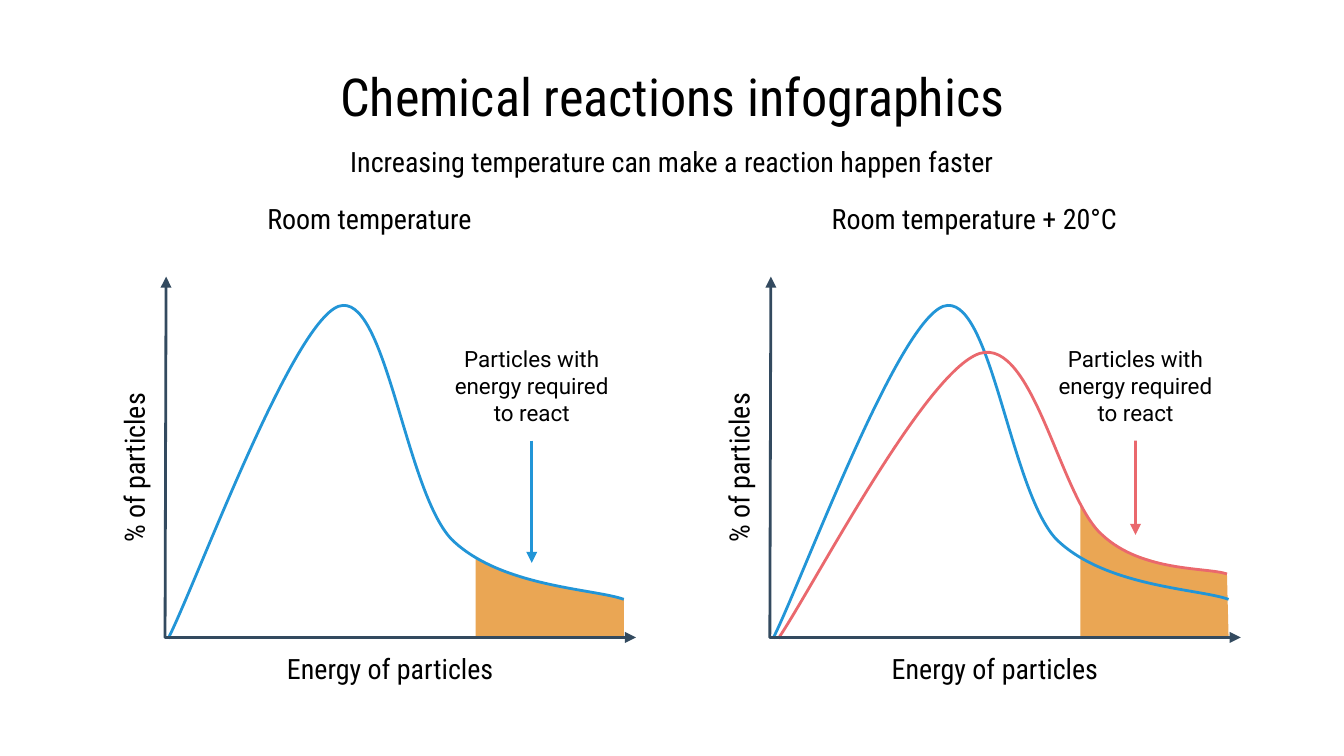
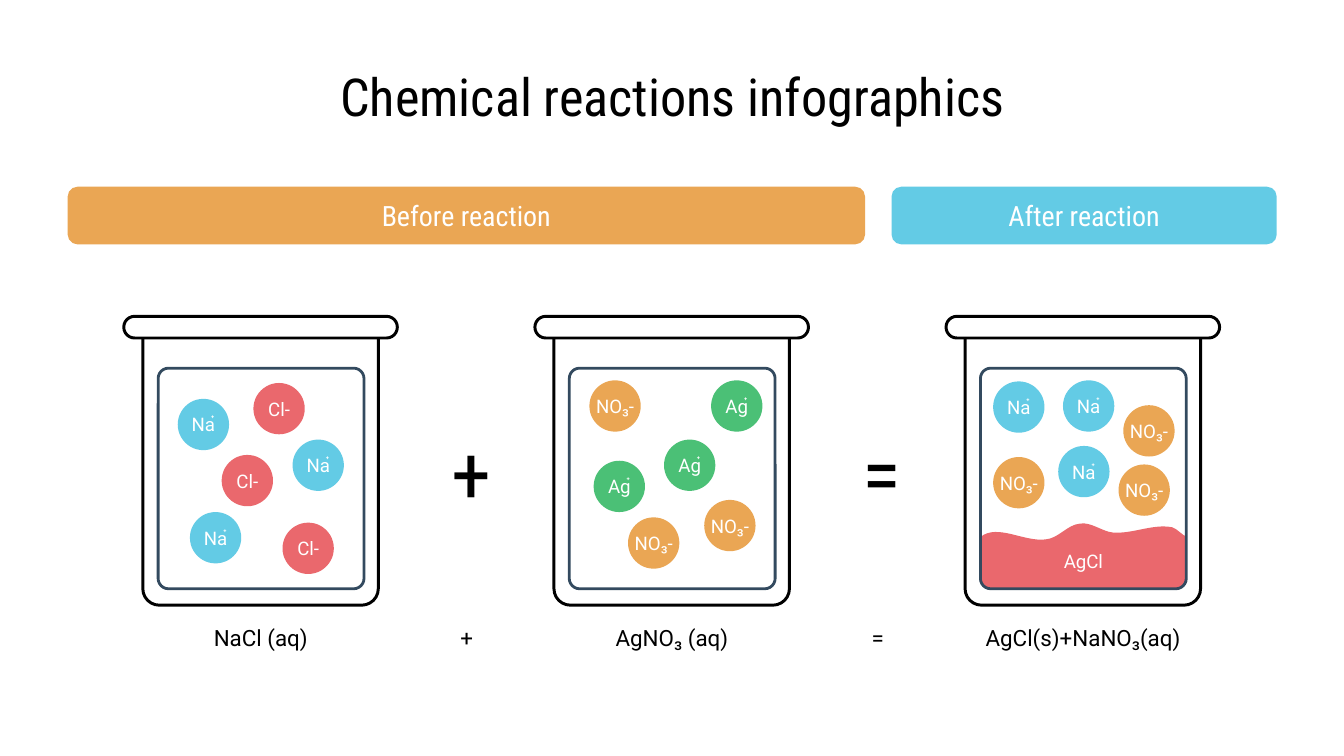
from dataclasses import dataclass

from lxml import etree
from pptx import Presentation
from pptx import util as u
from pptx.dml import color
from pptx.enum import shapes as es, text as et
from pptx.oxml import ns

Cm, Pt = u.Cm, u.Pt
Point = tuple[float, float]

COLORS = {
    "black": "000000", "white": "FFFFFF", "slate": "334A5F", "blue": "2295D7",
    "red": "EA686D", "orange": "EAA654", "cyan": "63CBE5", "green": "4BC076",
}
HEAD, BODY = "Roboto Condensed", "Roboto"
TITLE = "Chemical reactions infographics"


@dataclass(frozen=True)
class Box:
    x: float
    y: float
    w: float
    h: float

    def move(self, dx: float) -> "Box":
        return Box(self.x + dx, self.y, self.w, self.h)

    def cm(self) -> tuple:
        return Cm(self.x), Cm(self.y), Cm(self.w), Cm(self.h)


@dataclass(frozen=True)
class Style:
    size: float
    font: str = HEAD
    color: str = "black"
    wrap: bool = True


@dataclass(frozen=True)
class Graph:
    name: str
    curves: tuple[tuple[str, list[Point]], ...]  # the last one colours the arrow
    area: list[Point]
    note: float
    tip: float


@dataclass(frozen=True)
class Ion:
    name: str
    color: str
    spots: tuple[Point, ...]
    width: float = 0.97


@dataclass(frozen=True)
class Jar:
    name: str
    ions: tuple[Ion, ...]
    sign: str = ""


TOP = Style(28)
LABEL = Style(15)
BAND = Style(15, color="white")
SIGN = Style(43)
NOTE = Style(12, BODY)
ION = Style(10, BODY, "white", wrap=False)


def rgb(name: str) -> color.RGBColor:
    return color.RGBColor.from_string(COLORS[name])


def write(shape, words: str, style: Style) -> None:
    frame = shape.text_frame
    frame.text = words
    frame.auto_size = et.MSO_AUTO_SIZE.NONE
    frame.word_wrap = style.wrap
    frame.vertical_anchor = et.MSO_ANCHOR.MIDDLE
    frame.margin_left = frame.margin_right = Cm(0.25)
    frame.margin_top = frame.margin_bottom = Cm(0.25)
    para = frame.paragraphs[0]
    para.alignment = et.PP_ALIGN.CENTER
    font = para.runs[0].font
    font.size, font.name = Pt(style.size), style.font
    font.color.rgb = rgb(style.color)


def label(slide, box: Box, words: str, style: Style):
    shape = slide.shapes.add_textbox(*box.cm())
    write(shape, words, style)
    return shape


def paint(shape, fill: str = "", line: str = "", width: float = 1.5) -> None:
    shape.shadow.inherit = False
    if fill:
        shape.fill.solid()
        shape.fill.fore_color.rgb = rgb(fill)
    else:
        shape.fill.background()
    if line:
        shape.line.color.rgb = rgb(line)
        shape.line.width = Pt(width)
    else:
        shape.line.fill.background()


def block(slide, kind, box: Box, adj: tuple[float, ...] = (), **look):
    shape = slide.shapes.add_shape(kind, *box.cm())
    for i, value in enumerate(adj):
        shape.adjustments[i] = value
    paint(shape, **look)
    return shape


def draw(slide, points: list[Point], dx: float = 0, close: bool = False, **look):
    """Add a freeform through the points, shifted right by dx."""
    spots = [(Cm(x + dx), Cm(y)) for x, y in points]
    form = slide.shapes.build_freeform(*spots[0], scale=1.0)
    form.add_line_segments(spots[1:], close=close)
    shape = form.convert_to_shape()
    paint(shape, **look)
    return shape


def bend(slide, knots: list[Point], dx: float = 0, rest: tuple[Point, ...] = (),
         **look) -> None:
    """Draw cubic curves (a start, then three knots each), then straight sides."""
    shape = draw(slide, [*knots[::3], *rest], dx, close=bool(rest), **look)
    sides = list(shape.element.iter(ns.qn("a:lnTo")))
    for i, side in zip(range(1, len(knots), 3), sides):
        side.tag = ns.qn("a:cubicBezTo")
        for k, (x, y) in enumerate(knots[i:i + 2]):
            spot = etree.Element(ns.qn("a:pt"), x=str(Cm(x + dx) - shape.left),
                                 y=str(Cm(y) - shape.top))
            side.insert(k, spot)


def arrow(shape, *ends: str) -> None:
    """Put triangles on the named ends, headEnd before tailEnd."""
    line = shape.element.spPr.find(ns.qn("a:ln"))
    for end in ends:
        etree.SubElement(line, ns.qn(f"a:{end}"), type="triangle")


def start(deck):
    slide = deck.slides.add_slide(deck.slide_layouts[5])
    title = slide.shapes.title
    title.left, title.top, title.width, title.height = Box(0.87, 1.14, 23.67, 1.35).cm()
    write(title, TITLE, TOP)
    return slide


# Graphs: coordinates of the left one; the right one is a step further.
STEP, BASE = 11.43, 12.05
COOL = [(3.18, 12.07), (3.71, 11.02), (5.51, 6.12), (6.4, 5.79),
        (7.29, 5.49), (7.65, 9.25), (8.53, 10.19),
        (9.45, 11.1), (11.25, 11.13), (11.79, 11.33)]
WARM = [(3.28, 12.07), (3.91, 11.15), (6.05, 7.01), (7.09, 6.68),
        (8.1, 6.38), (8.61, 9.42), (9.4, 10.11),
        (10.16, 10.82), (11.38, 10.72), (11.76, 10.85)]
LOW = [(8.99, BASE), (8.99, 10.52), (9.4, 10.77), (9.91, 10.92), (10.39, 11.05),
       (11.3, 11.23), (11.68, 11.3), (11.79, 11.3), (11.79, BASE)]
HIGH = [(8.99, BASE), (8.99, 9.5), (9.19, 9.91), (9.5, 10.21), (9.93, 10.46),
        (10.52, 10.64), (11, 10.74), (11.76, 10.85), (11.79, BASE)]
GRAPHS = (
    Graph("Room temperature", (("blue", COOL),), LOW, 8.31, 10.64),
    Graph("Room temperature + 20°C", (("blue", COOL), ("red", WARM)), HIGH,
          8.29, 10.11),
)


def plot(slide, graph: Graph, dx: float) -> None:
    draw(slide, graph.area, dx, close=True, fill="orange")
    for tone, curve in graph.curves:
        bend(slide, curve, dx, line=tone)

    box = Box(graph.note, 6.25, 3.48, 2.08).move(dx)
    note = label(slide, box, "Particles with energy required to react", NOTE)
    mid = Cm(box.x + box.w / 2)
    link = slide.shapes.add_connector(
        es.MSO_CONNECTOR.STRAIGHT, mid, Cm(box.y + box.h), mid, Cm(graph.tip))
    link.begin_connect(note, 2)
    link.line.color.rgb = rgb(graph.curves[-1][0])
    link.line.width = Pt(1.5)
    etree.SubElement(link.element.spPr, ns.qn("a:effectLst"))
    arrow(link, "tailEnd")

    axes = draw(slide, [(3.14, 5.23), (3.12, BASE), (12.02, BASE)], dx, line="slate")
    arrow(axes, "headEnd", "tailEnd")
    side = label(slide, Box(-0.69, 8.26, 6.43, 1.17).move(dx), "% of particles", LABEL)
    side.rotation = 270
    label(slide, Box(3.12, 12.04, 8.51, 1.17).move(dx), "Energy of particles", LABEL)


# Jars: ion spots are measured from the left end of the lid.
GAP = 7.77
JARS = (
    Jar("NaCl (aq)", (
        Ion("Na๋", "cyan", ((1.02, 7.54), (1.25, 9.68), (3.19, 8.31))),
        Ion("Cl-", "red", ((1.85, 8.6), (3, 9.88), (2.45, 7.24))),
    ), "+"),
    Jar("AgNO₃ (aq)", (
        Ion("Ag๋", "green", ((1.11, 8.71), (2.44, 8.31), (3.33, 7.19))),
        Ion("NO₃-", "orange", ((1.03, 7.19), (1.76, 9.78), (3.2, 9.45)), 1.27),
    ), "="),
    Jar("AgCl(s)+NaNO₃(aq)", (
        Ion("Na๋", "cyan", ((0.89, 7.21), (2.21, 7.19), (2.12, 8.43))),
        Ion("NO₃-", "orange", ((0.89, 8.64), (3.26, 8.78), (3.35, 7.66)), 1.27),
    )),
)
WAVE = [(18.54, 10.16), (18.85, 9.91), (19.35, 10.26), (19.76, 10.21),
        (20.02, 10.19), (20.17, 9.93), (20.42, 9.91),
        (20.62, 9.88), (20.83, 10.06), (21.03, 10.08),
        (21.41, 10.11), (21.79, 9.91), (22.15, 9.98),
        (22.25, 10.01), (22.33, 10.13), (22.43, 10.16)]
FLOOR = ((22.43, 10.97), (22.35, 11.07), (22.25, 11.13),
         (18.67, 11.13), (18.57, 11.05), (18.54, 10.95))
BANDS = (
    ("Before reaction", "orange", Box(1.28, 3.53, 15.07, 1.09)),
    ("After reaction", "cyan", Box(16.85, 3.53, 7.28, 1.09)),
)


def glass(slide, dx: float) -> None:
    kind = es.MSO_SHAPE
    block(slide, kind.ROUND_2_SAME_RECTANGLE, Box(2.7, 6.38, 4.45, 5.06).move(dx),
          (0, 0.07), fill="white", line="black", width=1.6)
    block(slide, kind.ROUNDED_RECTANGLE, Box(2.34, 5.98, 5.17, 0.41).move(dx),
          (0.5,), fill="white", line="black", width=1.6)


def fill_jar(slide, jar: Jar, dx: float) -> None:
    """Add the tank, the ions and the captions of one jar."""
    kind = es.MSO_SHAPE
    block(slide, kind.ROUNDED_RECTANGLE, Box(2.99, 6.96, 3.89, 4.17).move(dx),
          (0.05,), line="slate")
    for ion in jar.ions:
        for x, y in ion.spots:
            ball = Box(2.34 + dx + x, y, 0.97, 0.97)
            block(slide, kind.OVAL, ball, fill=ion.color)
            left = ball.x + (ball.w - ion.width) / 2
            label(slide, Box(left, y + 0.18, ion.width, 0.61), ion.name, ION)
    label(slide, Box(2.35, 11.73, 5.16, 0.66).move(dx), jar.name, NOTE)
    if jar.sign:
        label(slide, Box(7.51, 11.73, 2.62, 0.66).move(dx), jar.sign, NOTE)
        label(slide, Box(8.28, 8.47, 1.07, 0.89).move(dx), jar.sign, SIGN)


def main() -> None:
    deck = Presentation()
    deck.slide_width, deck.slide_height = Cm(25.4), Cm(14.29)

    slide = start(deck)
    for i, graph in enumerate(GRAPHS):
        label(slide, Box(1.27, 3.62, STEP, 1.02).move(i * STEP), graph.name, LABEL)
    label(slide, Box(1.27, 2.54, 22.86, 1.02),
          "Increasing temperature can make a reaction happen faster", LABEL)
    for i, graph in enumerate(GRAPHS):
        plot(slide, graph, i * STEP)

    slide = start(deck)
    for words, tone, box in BANDS:
        band = block(slide, es.MSO_SHAPE.ROUNDED_RECTANGLE, box, (0.17,), fill=tone)
        write(band, words, BAND)
    for i in range(len(JARS)):
        glass(slide, i * GAP)
    bend(slide, WAVE, line="red", width=0.75)
    bend(slide, WAVE, rest=FLOOR, fill="red")
    for i, jar in enumerate(JARS):
        fill_jar(slide, jar, i * GAP)
    label(slide, Box(19.84, 10.3, 1.27, 0.61), "AgCl", ION)

    deck.save("out.pptx")


if __name__ == "__main__":
    main()
